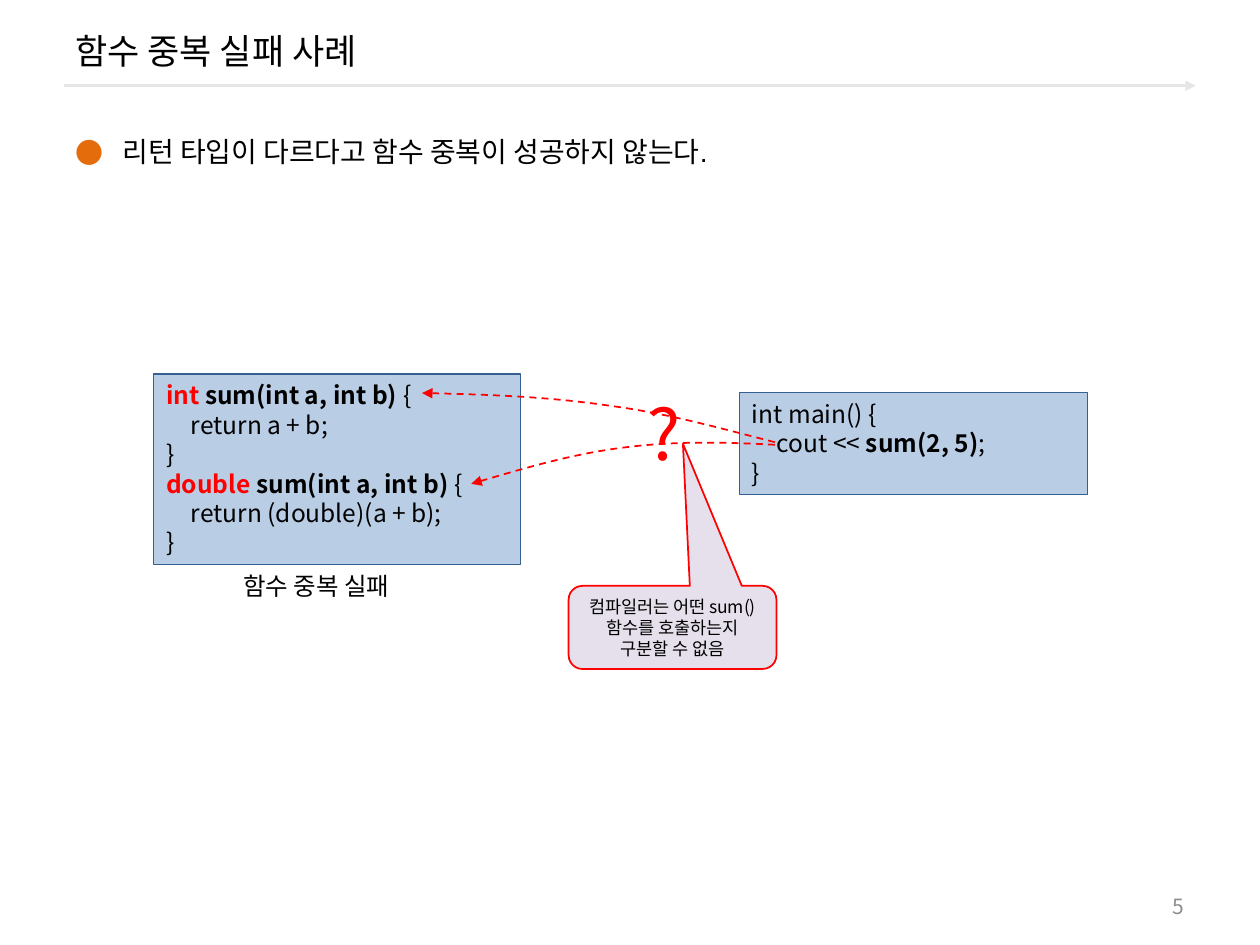
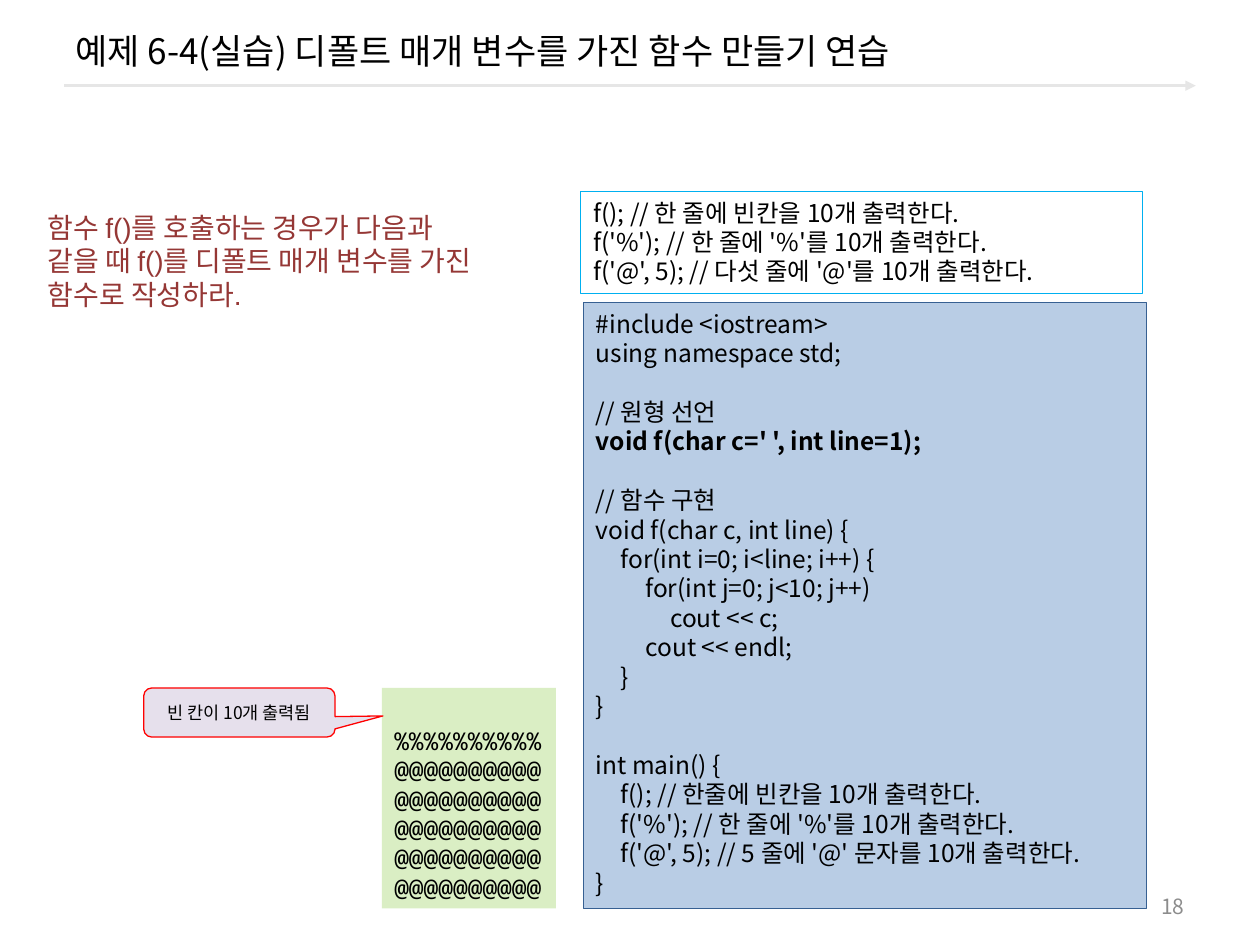
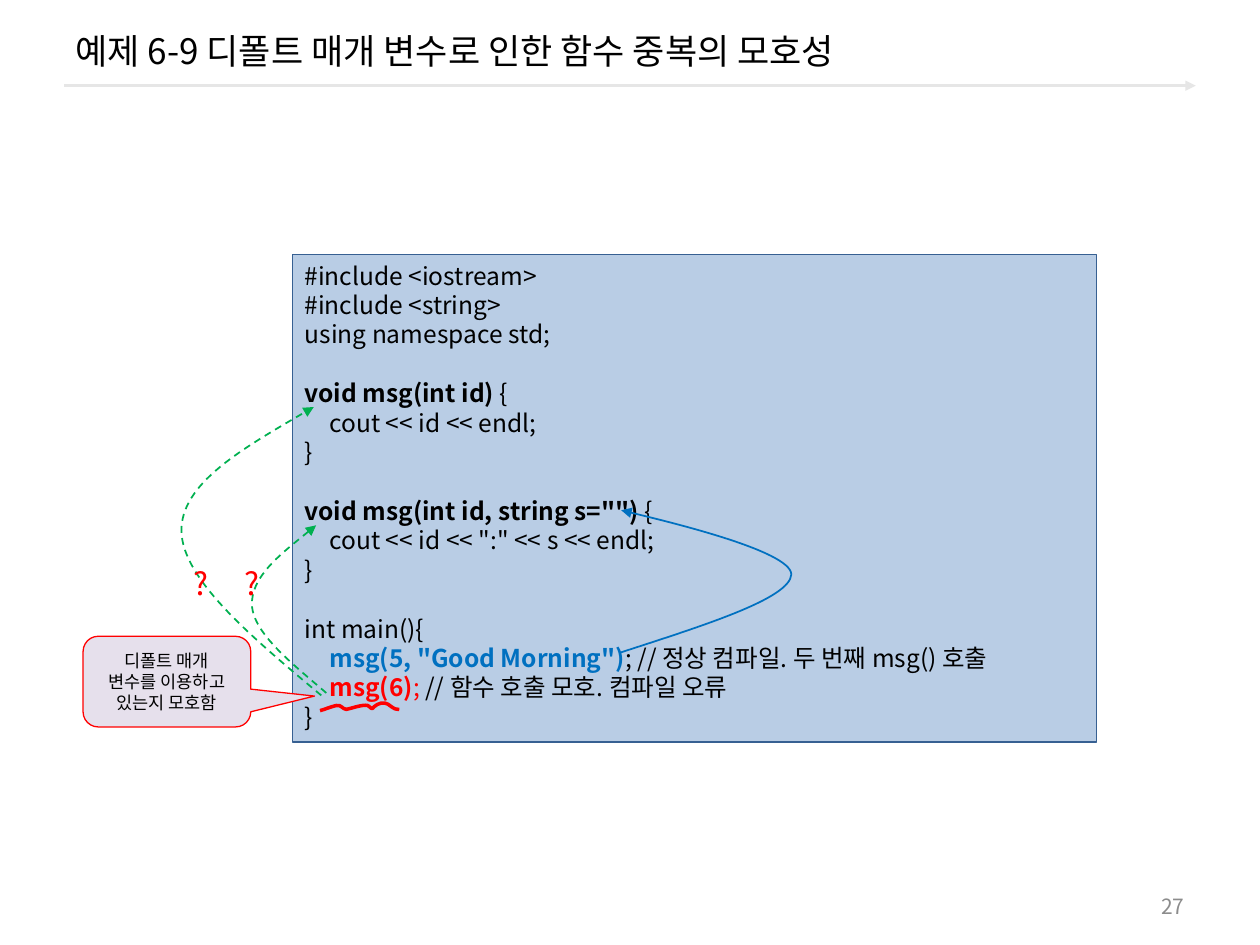
import dataclasses
import typing

import lxml.etree
import pptx
import pptx.dml.color
import pptx.enum.dml
import pptx.enum.shapes
import pptx.enum.text
import pptx.oxml.ns
import pptx.slide
import pptx.util

Pt = pptx.util.Pt
RGBColor = pptx.dml.color.RGBColor
Align = pptx.enum.text.PP_ALIGN
Anchor = pptx.enum.text.MSO_ANCHOR
Preset = pptx.enum.shapes.MSO_SHAPE
qn = pptx.oxml.ns.qn

BLACK = RGBColor(0x00, 0x00, 0x00)
RED = RGBColor(0xFF, 0x00, 0x00)
BLUE = RGBColor(0x00, 0x70, 0xC0)
GREEN = RGBColor(0x00, 0xB0, 0x50)
SKY = RGBColor(0x00, 0xB0, 0xF0)
MAROON = RGBColor(0x95, 0x37, 0x35)
ORANGE = RGBColor(0xE4, 0x6C, 0x0A)
RULE_GRAY = RGBColor(0xE6, 0xE6, 0xE6)
NUMBER_GRAY = RGBColor(0x8C, 0x8C, 0x8C)
CODE_FILL = RGBColor(0xB9, 0xCD, 0xE5)
CODE_EDGE = RGBColor(0x37, 0x60, 0x92)
OUTPUT_FILL = RGBColor(0xDA, 0xEE, 0xC4)
CALLOUT_FILL = RGBColor(0xE6, 0xE0, 0xEC)

KOREAN = "Noto Sans CJK KR"
MONO = "Noto Sans Mono"
LATIN = "Arial"
CODE_LINE = 16.8
TAB_STEP = 14.17
TAB_COUNT = 4


class Span(typing.NamedTuple):
    text: str
    bold: bool = False
    color: typing.Optional[RGBColor] = None


class Box(typing.NamedTuple):
    left: float
    top: float
    width: float
    height: float


Line = typing.Union[str, tuple[Span, ...]]
Point = tuple[float, float]


@dataclasses.dataclass(frozen=True)
class TextStyle:
    size: float = 14
    font: str = KOREAN
    color: RGBColor = BLACK
    align: Align = Align.LEFT
    anchor: Anchor = Anchor.TOP
    wrap: bool = True


@dataclasses.dataclass(frozen=True)
class Panel:
    box: Box
    lines: tuple[Line, ...]
    fill: typing.Optional[RGBColor] = CODE_FILL
    edge: typing.Optional[RGBColor] = CODE_EDGE
    style: TextStyle = TextStyle()


@dataclasses.dataclass(frozen=True)
class Callout:
    box: Box
    text: str
    tip: Point
    edge_width: float = 0.75


@dataclasses.dataclass(frozen=True)
class Curve:
    points: tuple[Point, ...]
    color: RGBColor
    width: float = 1
    dashed: bool = True
    arrow: bool = True


TITLE = TextStyle(size=20, anchor=Anchor.MIDDLE)
PAGE_NUMBER = TextStyle(size=12, color=NUMBER_GRAY, align=Align.RIGHT, anchor=Anchor.MIDDLE)
BODY = TextStyle(size=16, font=LATIN)
TASK = TextStyle(size=16, font=LATIN, color=MAROON)
OUTPUT = TextStyle(font=MONO, anchor=Anchor.BOTTOM, wrap=False)
NOTE = TextStyle(size=10, align=Align.CENTER, anchor=Anchor.MIDDLE)
CAPTION = TextStyle(wrap=False)
BIG_DOUBT = TextStyle(size=40, color=RED, wrap=False)
DOUBT = TextStyle(size=18, color=RED, wrap=False)


def place(box: Box) -> list[pptx.util.Length]:
    return [Pt(length) for length in box]


def add_tabs(paragraph) -> None:
    tabs = lxml.etree.SubElement(paragraph._p.get_or_add_pPr(), qn("a:tabLst"))
    for stop in range(1, TAB_COUNT + 1):
        position = str(int(Pt(TAB_STEP * stop)))
        lxml.etree.SubElement(tabs, qn("a:tab"), pos=position, algn="l")


def write(shape, lines: tuple[Line, ...], style: TextStyle) -> None:
    frame = shape.text_frame
    frame.word_wrap = style.wrap
    frame.vertical_anchor = style.anchor
    paragraph = frame.paragraphs[0]
    gap = 0.0
    started = False
    for line in lines:
        if not line:
            gap += CODE_LINE
            continue
        if started:
            paragraph = frame.add_paragraph()
        started = True
        paragraph.alignment = style.align
        if gap:
            paragraph.space_before = Pt(gap)
            gap = 0.0
        spans = (Span(line),) if isinstance(line, str) else line
        if any("\t" in span.text for span in spans):
            add_tabs(paragraph)
        for span in spans:
            run = paragraph.add_run()
            run.text = span.text
            run.font.size = Pt(style.size)
            run.font.bold = span.bold
            run.font.color.rgb = span.color or style.color
            run.font.name = style.font
            east_asian = MONO if style.font == MONO else KOREAN
            lxml.etree.SubElement(run._r.get_or_add_rPr(), qn("a:ea"), typeface=east_asian)


def add_label(slide: pptx.slide.Slide, box: Box, text: str, style: TextStyle):
    label = slide.shapes.add_textbox(*place(box))
    write(label, (text,), style)
    return label


def paint(shape, fill: typing.Optional[RGBColor], edge: typing.Optional[RGBColor], width: float) -> None:
    shape.shadow.inherit = False
    if fill is None:
        shape.fill.background()
    else:
        shape.fill.solid()
        shape.fill.fore_color.rgb = fill
    if edge is None:
        shape.line.fill.background()
    else:
        shape.line.color.rgb = edge
        shape.line.width = Pt(width)


def add_panel(slide: pptx.slide.Slide, panel: Panel) -> None:
    shape = slide.shapes.add_shape(Preset.RECTANGLE, *place(panel.box))
    paint(shape, panel.fill, panel.edge, 0.75)
    write(shape, panel.lines, panel.style)


def add_callout(slide: pptx.slide.Slide, callout: Callout) -> None:
    shape = slide.shapes.add_shape(Preset.ROUNDED_RECTANGULAR_CALLOUT, *place(callout.box))
    shape.adjustments[0], shape.adjustments[1] = callout.tip
    paint(shape, CALLOUT_FILL, RED, callout.edge_width)
    write(shape, (callout.text,), NOTE)


def add_arrowhead(shape) -> None:
    stroke = shape._element.spPr.find(qn("a:ln"))
    lxml.etree.SubElement(stroke, qn("a:tailEnd"), type="triangle")


def add_curve(slide: pptx.slide.Slide, curve: Curve) -> None:
    points = [(Pt(x), Pt(y)) for x, y in curve.points]
    builder = slide.shapes.build_freeform(*points[0], scale=1.0)
    builder.add_line_segments(points[1:], close=False)
    shape = builder.convert_to_shape()
    outline = shape._element.spPr.find(".//" + qn("a:path"))
    segments = outline.findall(qn("a:lnTo"))
    for start in range(0, len(segments), 3):
        bezier = lxml.etree.SubElement(outline, qn("a:cubicBezTo"))
        for segment in segments[start:start + 3]:
            bezier.append(segment[0])
            outline.remove(segment)
    paint(shape, None, curve.color, curve.width)
    if curve.dashed:
        shape.line.dash_style = pptx.enum.dml.MSO_LINE.DASH
    if curve.arrow:
        add_arrowhead(shape)


def add_page(deck, title: str, number: int) -> pptx.slide.Slide:
    slide = deck.slides.add_slide(deck.slide_layouts[6])
    rule = slide.shapes.add_connector(
        pptx.enum.shapes.MSO_CONNECTOR.STRAIGHT, Pt(36.7), Pt(49), Pt(683.3), Pt(49))
    rule.line.color.rgb = RULE_GRAY
    rule.line.width = Pt(1.5)
    add_arrowhead(rule)
    lxml.etree.SubElement(rule._element.spPr, qn("a:effectLst"))
    add_label(slide, Box(36, 5.8, 648, 46), title, TITLE)
    add_label(slide, Box(516.2, 506.2, 167.8, 23), str(number), PAGE_NUMBER)
    return slide


def add_bullet(slide: pptx.slide.Slide, box: Box, text: str) -> None:
    properties = add_label(slide, box, text, BODY).text_frame.paragraphs[0]._p.get_or_add_pPr()
    properties.set("marL", str(int(Pt(27))))
    properties.set("indent", str(int(Pt(-27))))
    bullet_color = lxml.etree.SubElement(properties, qn("a:buClr"))
    lxml.etree.SubElement(bullet_color, qn("a:srgbClr"), val=str(ORANGE))
    lxml.etree.SubElement(properties, qn("a:buFont"), typeface=KOREAN)
    lxml.etree.SubElement(properties, qn("a:buChar"), char="●")


def build_overload_failure(deck) -> None:
    slide = add_page(deck, "함수 중복 실패 사례", 5)
    add_bullet(slide, Box(36, 73.4, 648, 433.4), "리턴 타입이 다르다고 함수 중복이 성공하지 않는다.")
    signature = (Span("sum(int a, int b) ", True), Span("{"))
    add_panel(slide, Panel(Box(87.8, 213.8, 209.5, 108.7), (
        (Span("int ", True, RED), *signature),
        "\treturn a + b;",
        "}",
        (Span("double ", True, RED), *signature),
        "\treturn (double)(a + b);",
        "}",
    )))
    add_panel(slide, Panel(Box(422.6, 224.3, 198.7, 58.3), (
        "int main() {",
        (Span("\tcout << "), Span("sum(2, 5)", True), Span(";")),
        "}",
    )))
    add_curve(slide, Curve((
        (442.8, 252.7), (411.8, 244.8), (381.6, 236.2), (347.8, 231.8),
        (313.9, 226.8), (277.2, 225.4), (241.2, 224.6)), RED))
    add_label(slide, Box(131.8, 322.6, 109.4, 24.5), "함수 중복 실패", CAPTION)
    add_curve(slide, Curve((
        (442.8, 254.2), (414.7, 252.7), (386.6, 252), (357.8, 255.6),
        (328.3, 259.2), (298.8, 267.8), (269.3, 276.5)), RED))
    add_callout(slide, Callout(
        Box(324.9, 334.8, 118.8, 47.5),
        "컴파일러는 어떤 sum() 함수를 호출하는지 구분할 수 없음", (0.05, -2.21), 1))
    add_label(slide, Box(362.9, 219.6, 33.1, 55.4), "?", BIG_DOUBT)


def build_default_parameter_exercise(deck) -> None:
    slide = add_page(deck, "예제 6-4(실습) 디폴트 매개 변수를 가진 함수 만들기 연습", 18)
    add_label(
        slide, Box(20.2, 116.6, 260.6, 65.5),
        "함수 f()를 호출하는 경우가 다음과 같을 때 f()를 디폴트 매개 변수를 가진 함수로 작성하라.", TASK)
    add_panel(slide, Panel(Box(333.4, 172.8, 321.8, 346.3), (
        "#include <iostream>",
        "using namespace std;",
        "",
        "// 원형 선언",
        (Span("void f(char c=' ', int line=1);", True),),
        "",
        "// 함수 구현",
        "void f(char c, int line) {",
        "\tfor(int i=0; i<line; i++) {",
        "\t\tfor(int j=0; j<10; j++)",
        "\t\t\tcout << c;",
        "\t\tcout << endl;",
        "\t}",
        "}",
        "",
        "int main() {",
        "\tf(); // 한줄에 빈칸을 10개 출력한다.",
        "\tf('%'); // 한 줄에 '%'를 10개 출력한다.",
        "\tf('@', 5); // 5 줄에 '@' 문자를 10개 출력한다.",
        "}",
    )))
    add_panel(slide, Panel(
        Box(218.2, 393.1, 99.4, 126), ("%" * 10, *["@" * 10] * 5), OUTPUT_FILL, None, OUTPUT))
    add_callout(slide, Callout(Box(82.1, 393.1, 109.4, 28.1), "빈 칸이 10개 출력됨", (0.75, 0.07)))
    add_panel(slide, Panel(Box(331.9, 109.4, 321.1, 58.3), (
        "f(); // 한 줄에 빈칸을 10개 출력한다.",
        "f('%'); // 한 줄에 '%'를 10개 출력한다.",
        "f('@', 5); // 다섯 줄에 '@'를 10개 출력한다.",
    ), None, SKY))


def build_overload_ambiguity(deck) -> None:
    slide = add_page(deck, "예제 6-9 디폴트 매개 변수로 인한 함수 중복의 모호성", 27)
    add_panel(slide, Panel(Box(167, 145.4, 459.4, 278.6), (
        "#include <iostream>",
        "#include <string>",
        "using namespace std;",
        "",
        (Span("void msg(int id) ", True), Span("{")),
        "\tcout << id << endl;",
        "}",
        "",
        (Span('void msg(int id, string s="") ', True), Span("{")),
        '\tcout << id << ":" << s << endl;',
        "}",
        "",
        "int main(){",
        (Span("\t"), Span('msg(5, "Good Morning")', True, BLUE),
         Span("; // 정상 컴파일. 두 번째 msg() 호출")),
        (Span("\t"), Span("msg(6)", True, RED), Span("; ", False, RED),
         Span("// 함수 호출 모호. 컴파일 오류")),
        "}",
    )))
    add_curve(slide, Curve((
        (354.2, 373), (403.2, 357.1), (451.4, 342), (452.2, 328.3),
        (452.2, 314.6), (355, 291.6), (355, 291.6)), BLUE, dashed=False))
    add_curve(slide, Curve((
        (186.5, 396), (166.3, 378.7), (145.4, 362.2), (144, 346.3),
        (143.3, 329.8), (162, 315.4), (180.7, 300.2)), GREEN))
    add_curve(slide, Curve((
        (183.6, 397.4), (144, 364.3), (104.4, 331.2), (103.7, 303.8),
        (103, 276.5), (141.1, 254.9), (179.3, 232.6)), GREEN))
    add_callout(slide, Callout(
        Box(47.5, 363.6, 95.8, 51.8), "디폴트 매개 변수를 이용하고 있는지 모호함", (0.88, 0.16)))
    for left in (103.7, 132.5):
        add_label(slide, Box(left, 319, 23, 28.8), "?", DOUBT)
    add_curve(slide, Curve((
        (182.9, 406.1), (185.8, 405.4), (188.6, 404), (192.2, 403.2),
        (195, 402.5), (195.8, 405.4), (198, 405.4),
        (201.6, 404.6), (207.4, 402.5), (210.2, 403.2),
        (212.4, 404.6), (212.4, 406), (213.8, 403.9),
        (216, 401.8), (219.6, 401), (221.8, 402.5),
        (223.9, 403.2), (223.9, 405.4), (228.2, 405.4)), RED, 2, dashed=False, arrow=False))


def main() -> None:
    deck = pptx.Presentation()
    deck.slide_width, deck.slide_height = Pt(720), Pt(540)
    build_overload_failure(deck)
    build_default_parameter_exercise(deck)
    build_overload_ambiguity(deck)
    deck.save("out.pptx")


if __name__ == "__main__":
    main()
